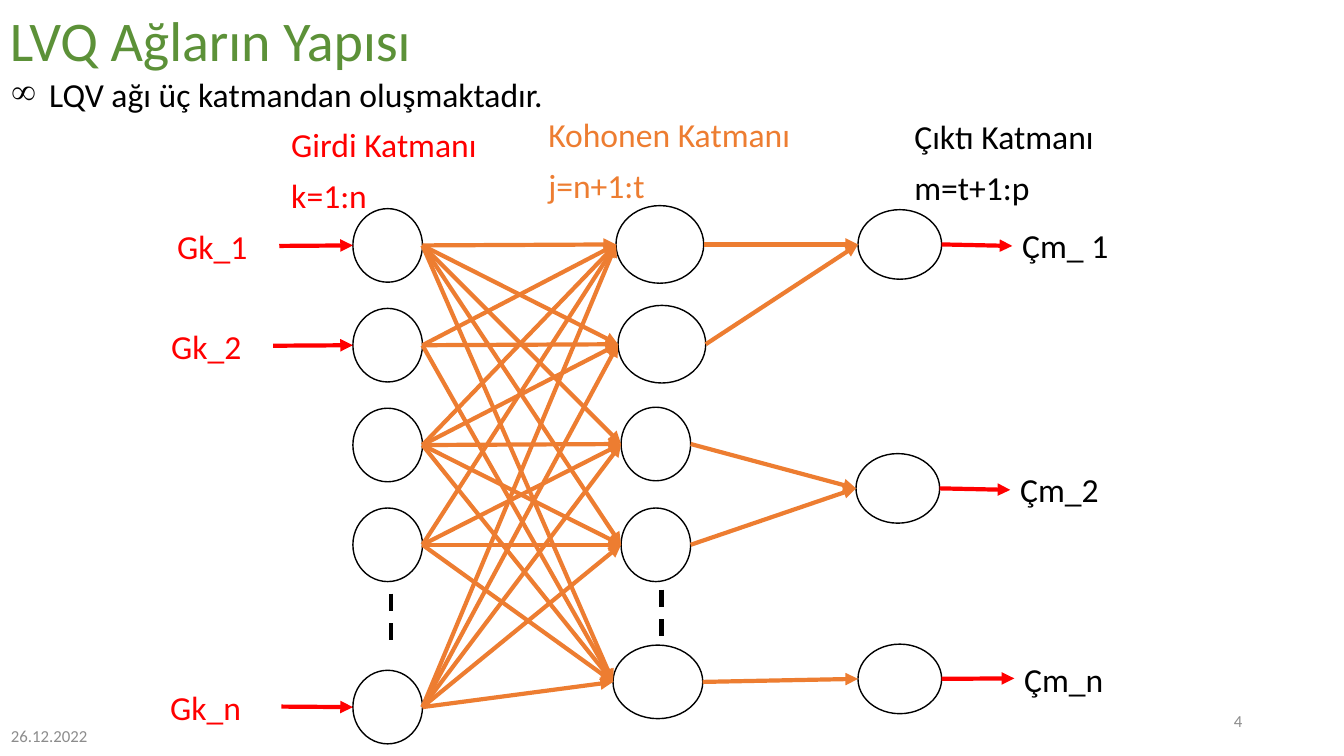
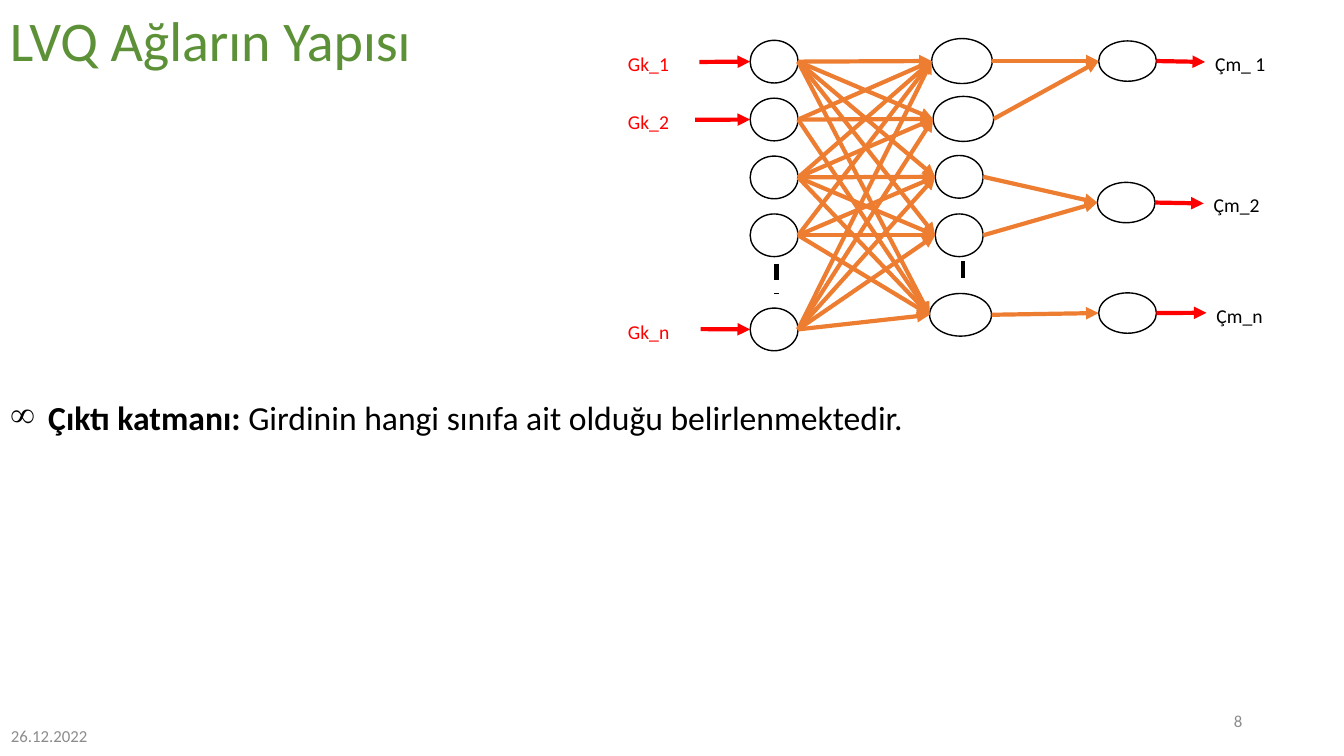
"""Two slides on the structure of LVQ networks, sharing one network diagram."""
from lxml.etree import SubElement
from pptx import Presentation
from pptx.dml.color import RGBColor
from pptx.enum.dml import MSO_LINE
from pptx.enum.shapes import MSO_CONNECTOR, MSO_SHAPE
from pptx.enum.text import MSO_ANCHOR, PP_ALIGN
from pptx.oxml.ns import qn
from pptx.util import Inches, Pt

FONT = "Calibri"
COLORS = {"title": "5C9138", "body": "000000", "footer": "8C8C8C",
          "input": "FF0000", "kohonen": "ED7D31", "output": "000000"}

TITLE = "LVQ Ağların Yapısı"
DATE = "26.12.2022"

SLIDES = [
    {"number": "4",
     "bullet": [("LQV ağı üç katmandan oluşmaktadır.", False)],
     "bullet_box": (0.01, 0.73, 12.73, 0.5),
     "headings": [
         ("input", ("Girdi Katmanı", "k=1:n"), (2.79, 1.23, 2.55, 0.89)),
         ("kohonen", ("Kohonen Katmanı", "j=n+1:t"), (5.34, 1.13, 3.53, 0.79)),
         ("output", ("Çıktı Katmanı", "m=t+1:p"), (8.97, 1.15, 2.55, 0.42))],
     "origin": (3.5, 2.07), "scale": (1, 1), "label_size": 24,
     "input_label_lefts": (1.66, 1.6, 1.59)},
    {"number": "8",
     "bullet": [("Çıktı katmanı: ", True),
                ("Girdinin hangi sınıfa ait olduğu belirlenmektedir.", False)],
     "bullet_box": (0, 3.93, 13.12, 1.34),
     "headings": [],
     "origin": (7.44, 0.4), "scale": (0.69, 0.58), "label_size": 14,
     "input_label_lefts": (6.13, 6.13, 6.13)},
]

NETWORK_ORIGIN = (3.5, 2.07)
INPUT_NODES = [(3.5, top, 0.69, 0.73) for top in (2.07, 3.06, 4.05, 5.04, 6.65)]
KOHONEN_NODES = [(6.11, 2.04, 0.87, 0.77), (6.13, 3.03, 0.87, 0.77),
                 (6.16, 4.04, 0.69, 0.73), (6.16, 5.04, 0.69, 0.73),
                 (6.08, 6.4, 0.89, 0.73)]
OUTPUT_NODES = [(8.51, 2.08, 0.83, 0.69), (8.49, 4.5, 0.83, 0.69),
                (8.51, 6.39, 0.83, 0.69)]

INPUT_TO_KOHONEN = [(0, 1, 2, 3, 4), (0, 1, 4), (0, 1, 2, 3, 4),
                    (0, 2, 3, 4), (0, 1, 2, 3, 4)]
KOHONEN_TO_OUTPUT = [0, 0, 1, 1, 2]
INPUTS = [("Gk_1", 0, (2.77, 2.44)), ("Gk_2", 1, (2.71, 3.43)),
          ("Gk_n", 4, (2.79, 7.01))]
OUTPUTS = [("Çm_ 1", 0, (10.04, 2.44)), ("Çm_2", 1, (10.02, 4.86)),
           ("Çm_n", 2, (10.06, 6.73))]
CONTINUATIONS = [((3.88, 5.89), (3.88, 6.4)), ((6.56, 5.85), (6.56, 6.35))]
LABEL_WIDTH, LABEL_HEIGHT, LABEL_RISE = 1.13, 0.42, 0.2


def rgb(name):
    return RGBColor.from_string(COLORS[name])


def add_text(slide, box, paragraphs, size, color, anchor=MSO_ANCHOR.TOP,
             align=PP_ALIGN.LEFT, line_spacing=0.9, before=10):
    """Each paragraph is a list of (text, bold) runs."""
    frame = slide.shapes.add_textbox(*map(Inches, box)).text_frame
    frame.word_wrap = True
    frame.vertical_anchor = anchor
    for index, runs in enumerate(paragraphs):
        paragraph = frame.add_paragraph() if index else frame.paragraphs[0]
        paragraph.alignment = align
        paragraph.line_spacing = line_spacing
        paragraph.space_before = Pt(before)
        for text, bold in runs:
            run = paragraph.add_run()
            run.text = text
            run.font.name = FONT
            run.font.size = Pt(size)
            run.font.bold = bold
            run.font.color.rgb = rgb(color)
    return frame


def add_bullet(paragraph):
    properties = paragraph._p.get_or_add_pPr()
    properties.set("marL", str(Inches(0.38)))
    properties.set("indent", str(-Inches(0.38)))
    SubElement(properties, qn("a:buChar")).set("char", "∞")


def add_line(slide, start, end, color, arrow=True):
    connector = slide.shapes.add_connector(
        MSO_CONNECTOR.STRAIGHT, *map(Inches, (*start, *end)))
    connector.line.color.rgb = rgb(color)
    connector.line.width = Pt(3)
    if arrow:
        SubElement(connector.line._get_or_add_ln(), qn("a:tailEnd")).set("type", "triangle")
    else:
        connector.line.dash_style = MSO_LINE.DASH
    SubElement(connector._element.spPr, qn("a:effectLst"))


def add_node(slide, box):
    node = slide.shapes.add_shape(MSO_SHAPE.OVAL, *map(Inches, box))
    node.shadow.inherit = False
    node.fill.background()
    node.line.color.rgb = rgb("body")
    node.line.width = Pt(1)


def left_side(box):
    return box[0], box[1] + box[3] / 2


def right_side(box):
    return box[0] + box[2], box[1] + box[3] / 2


def add_network(slide, content):
    (left, top), (scale_x, scale_y) = content["origin"], content["scale"]
    size = content["label_size"]

    def place(point):
        return (left + (point[0] - NETWORK_ORIGIN[0]) * scale_x,
                top + (point[1] - NETWORK_ORIGIN[1]) * scale_y)

    def place_box(box):
        return (*place(box[:2]), box[2] * scale_x, box[3] * scale_y)

    def add_label(text, label_left, middle, color):
        add_text(slide, (label_left, middle - LABEL_RISE * scale_y,
                         LABEL_WIDTH * scale_x, LABEL_HEIGHT * scale_y),
                 [[(text, False)]], size, color)

    inputs, kohonen, outputs = (
        [place_box(box) for box in layer]
        for layer in (INPUT_NODES, KOHONEN_NODES, OUTPUT_NODES))
    for box in inputs + kohonen + outputs:
        add_node(slide, box)

    for source, targets in zip(inputs, INPUT_TO_KOHONEN):
        for target in targets:
            add_line(slide, right_side(source), left_side(kohonen[target]), "kohonen")
    for source, target in zip(kohonen, KOHONEN_TO_OUTPUT):
        add_line(slide, right_side(source), left_side(outputs[target]), "kohonen")

    for (text, index, start), label_left in zip(INPUTS, content["input_label_lefts"]):
        node_side = left_side(inputs[index])
        add_line(slide, place(start), node_side, "input")
        add_label(text, label_left, node_side[1], "input")
    for text, index, end in OUTPUTS:
        node_side = right_side(outputs[index])
        add_line(slide, node_side, place(end), "input")
        add_label(text, place(end)[0], node_side[1], "output")

    for start, end in CONTINUATIONS:
        add_line(slide, place(start), place(end), "body", arrow=False)


def add_frame(slide, number):
    add_text(slide, (0, 0, 8.97, 0.78), [[(TITLE, False)]], 40, "title",
             MSO_ANCHOR.BOTTOM, before=0)
    for text, box, align in ((DATE, (0.01, 7.1, 1.19, 0.4), PP_ALIGN.LEFT),
                             (number, (9.42, 6.95, 3, 0.4), PP_ALIGN.RIGHT)):
        add_text(slide, box, [[(text, False)]], 12, "footer",
                 MSO_ANCHOR.MIDDLE, align, line_spacing=1, before=0)


def main():
    deck = Presentation()
    deck.slide_width, deck.slide_height = Inches(13.33), Inches(7.5)
    for content in SLIDES:
        slide = deck.slides.add_slide(deck.slide_layouts[6])
        add_frame(slide, content["number"])
        body = add_text(slide, content["bullet_box"], [content["bullet"]], 24, "body")
        add_bullet(body.paragraphs[0])
        add_network(slide, content)
        for layer, lines, box in content["headings"]:
            add_text(slide, box, [[(line, False)] for line in lines], 24, layer)
    deck.save("out.pptx")


if __name__ == "__main__":
    main()
